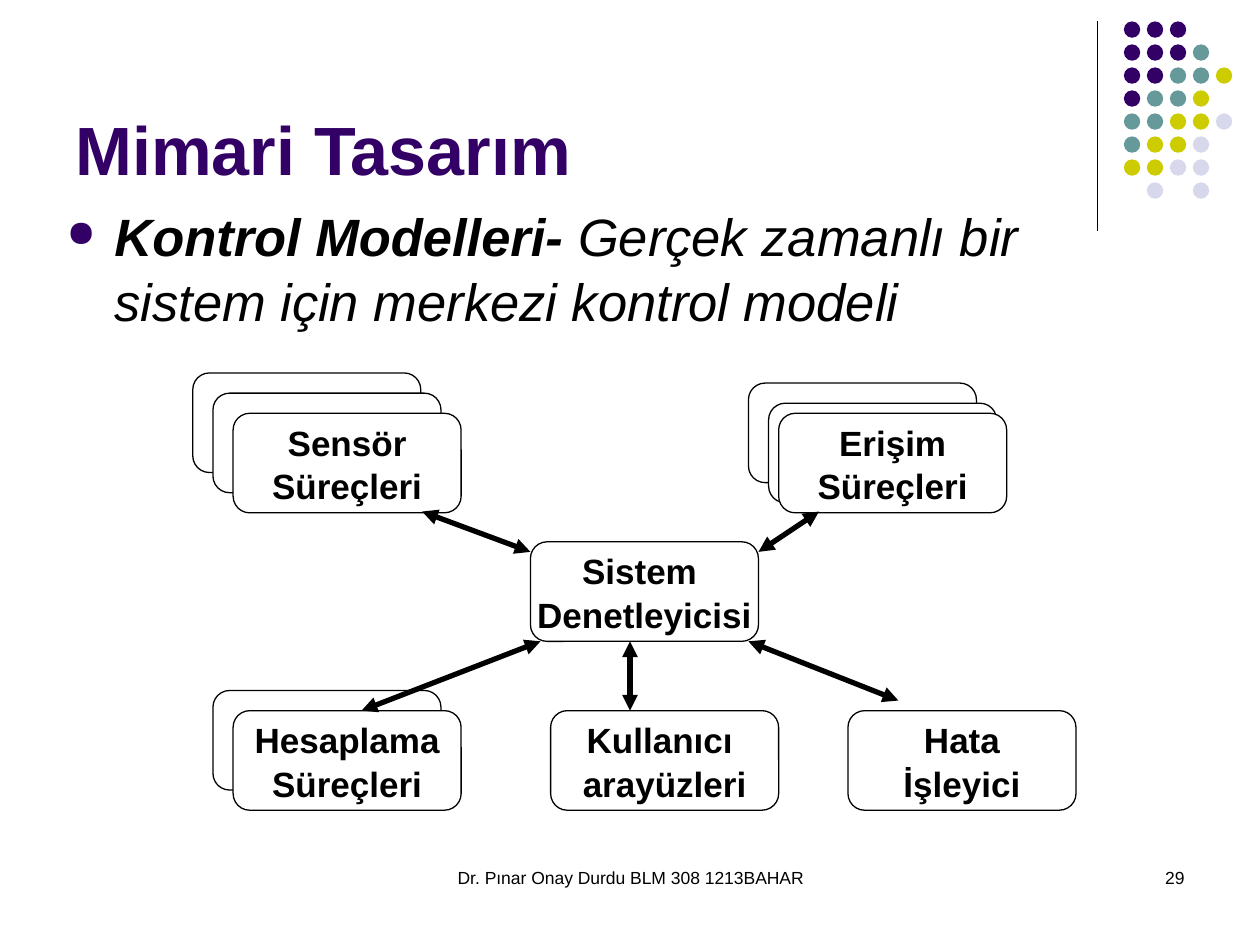
import dataclasses

import lxml.etree
import pptx
import pptx.dml.color
import pptx.enum.shapes
import pptx.enum.text
import pptx.oxml.ns
import pptx.util

Inches = pptx.util.Inches
ALIGN = pptx.enum.text.PP_ALIGN
ANCHOR = pptx.enum.text.MSO_ANCHOR
SHAPE = pptx.enum.shapes.MSO_SHAPE


@dataclasses.dataclass(frozen=True)
class Theme:
    """Colours, typeface and type sizes of the slide."""
    font: str = "Arial"
    ink: str = "000000"
    paper: str = "FFFFFF"
    violet: str = "330066"
    teal: str = "669999"
    olive: str = "CCCC00"
    lilac: str = "D8D8EC"
    title: float = 39
    body: float = 30
    label: float = 20
    footer: float = 10
    outline: float = 0.75
    arrow: float = 3
    leading: float = 1.04


THEME = Theme()
CARD_WIDTH, CARD_HEIGHT = 1.81, 0.79
DOT_SIZE, DOT_PITCH = 0.13, 0.73 / 4
DOT_ROWS = ("VVV", "VVVT", "VVTTO", "VTTO", "TTOOL", "TOOL", "OOLL", " L L")
DOT_COLOURS = {"V": THEME.violet, "T": THEME.teal, "O": THEME.olive, "L": THEME.lilac}

# left, top, label lines, offsets of the cards behind, filled
PROCESSES = (
    (1.85, 5.64, ("Hesaplama", "Süreçleri"), (0.16,), True),
    (6.18, 3.28, ("Erişim", "Süreçleri"), (0.24, 0.08), True),
    (1.85, 3.28, ("Sensör", "Süreçleri"), (0.32, 0.16), True),
    (4.21, 4.3, ("Sistem ", "Denetleyicisi"), (), False),
    (4.37, 5.64, ("Kullanıcı ", "arayüzleri"), (), False),
    (6.73, 5.64, ("Hata", "İşleyici"), (), False),
)
CONTROL_FLOWS = (
    (3.35, 4.06, 4.21, 4.38),
    (6.02, 4.38, 6.5, 4.06),
    (5.94, 5.09, 7.13, 5.56),
    (5, 5.09, 5, 5.64),
    (2.87, 5.64, 4.29, 5.09),
)


def rgb(colour):
    """Turn a hex string into a colour."""
    return pptx.dml.color.RGBColor.from_string(colour)


def apply(target, formats):
    """Set each attribute named in formats on target."""
    for attribute, value in formats.items():
        setattr(target, attribute, value)


def add_element(parent, tag, **attributes):
    """Append a DrawingML element to parent."""
    return lxml.etree.SubElement(parent, pptx.oxml.ns.qn(tag), attributes)


def write_run(paragraph, words, size, colour=THEME.ink, **formats):
    """Add one formatted run to a paragraph."""
    run = paragraph.add_run()
    run.text = words
    apply(run.font, {"name": THEME.font, "size": pptx.util.Pt(size), **formats})
    run.font.color.rgb = rgb(colour)


def add_text_box(slide, left, top, width, height, **formats):
    """Add a wrapping text box and return its first paragraph."""
    frame = slide.shapes.add_textbox(*map(Inches, (left, top, width, height))).text_frame
    apply(frame, {"word_wrap": True, **formats})
    return frame.paragraphs[0]


def add_shape(slide, kind, left, top, width, height, fill=None, outline=None):
    """Add a flat preset shape with an optional fill and outline."""
    shape = slide.shapes.add_shape(kind, *map(Inches, (left, top, width, height)))
    shape.shadow.inherit = False
    if fill:
        shape.fill.solid()
        shape.fill.fore_color.rgb = rgb(fill)
    else:
        shape.fill.background()
    if outline:
        shape.line.color.rgb = rgb(outline)
        shape.line.width = pptx.util.Pt(THEME.outline)
    else:
        shape.line.fill.background()
    return shape


def add_line(slide, ends, width, arrows=False):
    """Add a straight line, with arrowheads at both ends on request."""
    line = slide.shapes.add_connector(
        pptx.enum.shapes.MSO_CONNECTOR.STRAIGHT, *map(Inches, ends))
    line.line.color.rgb = rgb(THEME.ink)
    line.line.width = pptx.util.Pt(width)
    if arrows:
        for end in ("a:headEnd", "a:tailEnd"):
            add_element(line.line._get_or_add_ln(), end, type="triangle")
    add_element(line._element.spPr, "a:effectLst")


def add_card(slide, left, top, filled):
    """Add one rounded process card."""
    card = add_shape(slide, SHAPE.ROUNDED_RECTANGLE, left, top, CARD_WIDTH, CARD_HEIGHT,
                     THEME.paper if filled else None, THEME.ink)
    card.adjustments[0] = 0.167
    return card


def add_process(slide, left, top, label, offsets, filled):
    """Add a labelled process card in front of its stack."""
    for offset in offsets:
        add_card(slide, left - offset, top - offset, filled)
    frame = add_card(slide, left, top, filled).text_frame
    apply(frame, {"word_wrap": False, "vertical_anchor": ANCHOR.MIDDLE})
    for index, words in enumerate(label):
        paragraph = frame.add_paragraph() if index else frame.paragraphs[0]
        apply(paragraph, {"alignment": ALIGN.CENTER, "line_spacing": THEME.leading})
        write_run(paragraph, words, THEME.label, bold=True)


def add_dot_pattern(slide):
    """Add the corner rule and its grid of coloured dots."""
    add_line(slide, (8.71, 0.17, 8.71, 1.83), THEME.outline)
    for row, codes in enumerate(DOT_ROWS):
        for column, code in enumerate(codes):
            if code in DOT_COLOURS:
                add_shape(slide, SHAPE.OVAL, 8.92 + column * DOT_PITCH,
                          0.17 + row * DOT_PITCH, DOT_SIZE, DOT_SIZE, DOT_COLOURS[code])


def add_heading(slide):
    """Add the title and the bulleted statement."""
    title = add_text_box(slide, 0.5, 0.13, 8.25, 1.42, vertical_anchor=ANCHOR.BOTTOM)
    write_run(title, "Mimari Tasarım", THEME.title, THEME.violet, bold=True)

    statement = add_text_box(slide, 0.43, 1.55, 9, 1.16)
    properties = statement._p.get_or_add_pPr()
    apply_indent = {"marL": Inches(0.38), "indent": Inches(-0.38)}
    for name, length in apply_indent.items():
        properties.set(name, str(length))
    add_element(add_element(properties, "a:buClr"), "a:srgbClr", val=THEME.violet)
    add_element(properties, "a:buSzPct", val="70000")
    add_element(properties, "a:buChar", char="●")
    statement.line_spacing = THEME.leading
    write_run(statement, "Kontrol Modelleri- ", THEME.body, bold=True, italic=True)
    write_run(statement, "Gerçek zamanlı bir sistem için merkezi kontrol modeli",
              THEME.body, italic=True)


def add_footer(slide):
    """Add the course line and the page number."""
    for left, width, words, alignment in (
            (3.42, 3.17, "Dr. Pınar Onay Durdu BLM 308 1213BAHAR", ALIGN.CENTER),
            (7.17, 2.33, "29", ALIGN.RIGHT)):
        paragraph = add_text_box(slide, left, 6.83, width, 0.5)
        paragraph.alignment = alignment
        write_run(paragraph, words, THEME.footer)


def main():
    """Build the slide and save it."""
    deck = pptx.Presentation()
    apply(deck, {"slide_width": Inches(10), "slide_height": Inches(7.5)})
    slide = deck.slides.add_slide(deck.slide_layouts[6])
    add_dot_pattern(slide)
    add_footer(slide)
    add_heading(slide)
    for process in PROCESSES:
        add_process(slide, *process)
    for ends in CONTROL_FLOWS:
        add_line(slide, ends, THEME.arrow, arrows=True)
    deck.save("out.pptx")


if __name__ == "__main__":
    main()
